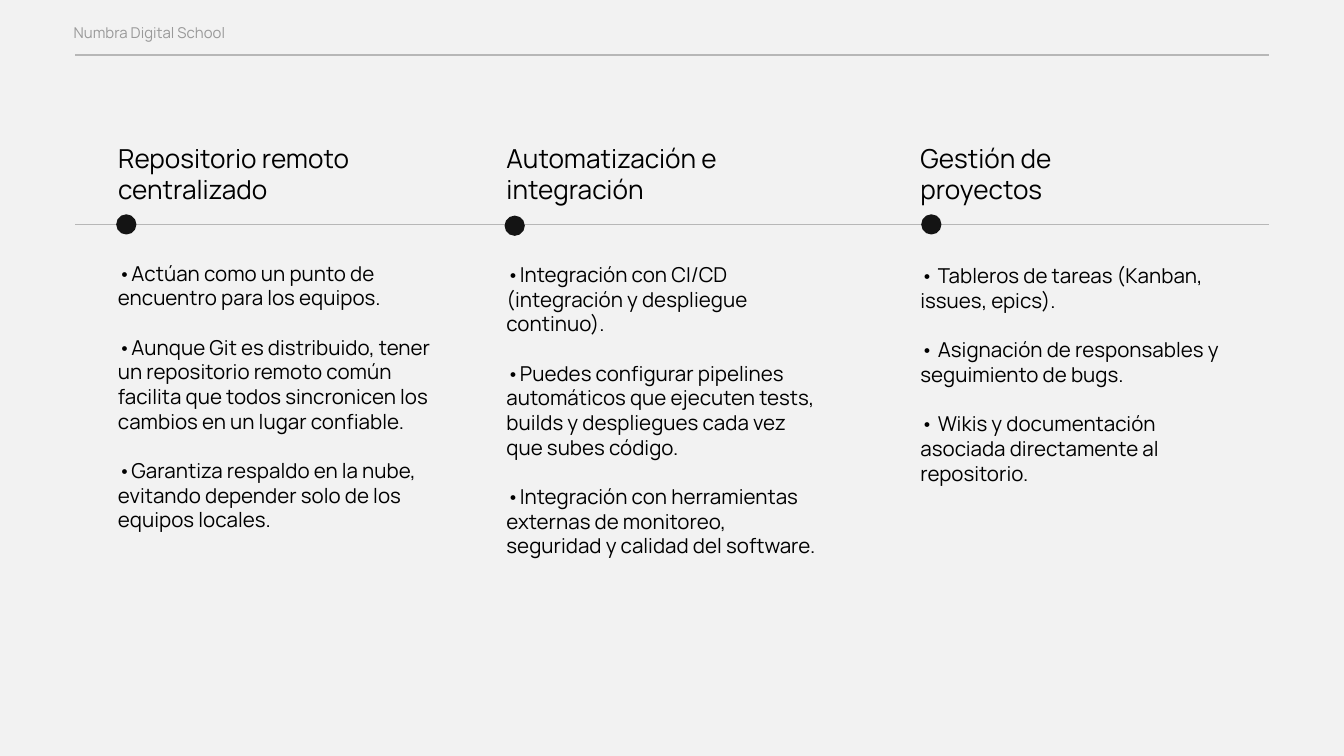
from dataclasses import dataclass

from lxml import etree
from pptx import Presentation
from pptx import util as u
from pptx.dml.color import RGBColor
from pptx.enum import shapes, text
from pptx.oxml.ns import qn


@dataclass(frozen=True)
class Theme:
    font: str = "Manrope"
    back: str = "F2F2F2"
    ink: str = "000000"
    dot: str = "141414"
    rule: str = "B7B7B7"
    muted: str = "999999"
    small: float = 8
    body: float = 11
    head: float = 14
    gap: float = 13.2
    line: float = 0.75


THEME = Theme()
WIDE = 10
LEFT, RIGHT = 0.56, 9.44
AXIS = 1.67
DOT = 0.14

# Column: left, head width, body top, dot left, dot top, heading, items
COLUMNS = [
    (0.78, 2.98, 1.84, 0.87, 1.60, "Repositorio remoto centralizado", [
        "•Actúan como un punto de encuentro para los equipos.",
        "•Aunque Git es distribuido, tener un repositorio remoto común "
        "facilita que todos sincronicen los cambios en un lugar confiable.",
        "•Garantiza respaldo en la nube, evitando depender solo de los "
        "equipos locales.",
    ]),
    (3.67, 1.97, 1.85, 3.76, 1.61, "Automatización e integración", [
        "•Integración con CI/CD (integración y despliegue continuo).",
        "•Puedes configurar pipelines automáticos que ejecuten tests, "
        "builds y despliegues cada vez que subes código.",
        "•Integración con herramientas externas de monitoreo, seguridad "
        "y calidad del software.",
    ]),
    (6.75, 1.97, 1.86, 6.86, 1.60, "Gestión de proyectos", [
        "• Tableros de tareas (Kanban, issues, epics).",
        "• Asignación de responsables y seguimiento de bugs.",
        "• Wikis y documentación asociada directamente al repositorio.",
    ]),
]


def color(code):
    return RGBColor.from_string(code)


def add_text(slide, box, lines, size, ink=THEME.ink,
             anchor=text.MSO_ANCHOR.TOP):
    """Add a text box with one paragraph per line."""
    frame = slide.shapes.add_textbox(*map(u.Inches, box)).text_frame
    frame.word_wrap = True
    frame.vertical_anchor = anchor
    frame.margin_left = frame.margin_right = u.Inches(0.1)
    frame.margin_top = frame.margin_bottom = u.Inches(0.1)
    for i, line in enumerate(lines):
        para = frame.add_paragraph() if i else frame.paragraphs[0]
        if i:
            para.space_before = u.Pt(THEME.gap)
        run = para.add_run()
        run.text = line
        run.font.name = THEME.font
        run.font.size = u.Pt(size)
        run.font.color.rgb = color(ink)


def add_rule(slide, top):
    """Add a thin line from margin to margin."""
    rule = slide.shapes.add_connector(
        shapes.MSO_CONNECTOR.STRAIGHT,
        u.Inches(LEFT), u.Inches(top), u.Inches(RIGHT), u.Inches(top))
    rule.line.color.rgb = color(THEME.rule)
    rule.line.width = u.Pt(THEME.line)
    etree.SubElement(rule._element.spPr, qn("a:effectLst"))


def add_dot(slide, left, top):
    """Add a round marker on the axis."""
    dot = slide.shapes.add_shape(
        shapes.MSO_SHAPE.OVAL, u.Inches(left), u.Inches(top),
        u.Inches(DOT), u.Inches(DOT))
    dot.shadow.inherit = False
    dot.fill.solid()
    dot.fill.fore_color.rgb = color(THEME.dot)
    dot.line.color.rgb = color(THEME.dot)
    dot.line.width = u.Pt(THEME.line)


def main():
    # Widescreen page, 16 to 9
    deck = Presentation()
    deck.slide_width = u.Inches(WIDE)
    deck.slide_height = u.Inches(WIDE * 9 / 16)
    slide = deck.slides.add_slide(deck.slide_layouts[6])
    slide.background.fill.solid()
    slide.background.fill.fore_color.rgb = color(THEME.back)

    # Page header
    add_rule(slide, 0.41)
    add_text(slide, (0.45, 0.05, 4.3, 0.38), ["Numbra Digital School"],
             THEME.small, THEME.muted, text.MSO_ANCHOR.MIDDLE)

    # Axis with three columns
    add_rule(slide, AXIS)
    for left, wide, top, dot_x, dot_y, head, items in COLUMNS:
        add_text(slide, (left, 0.96, wide, 0.45), [head], THEME.head)
        add_text(slide, (left, top, 2.53, 0.79), items, THEME.body)
        add_dot(slide, dot_x, dot_y)

    deck.save("out.pptx")


if __name__ == "__main__":
    main()
